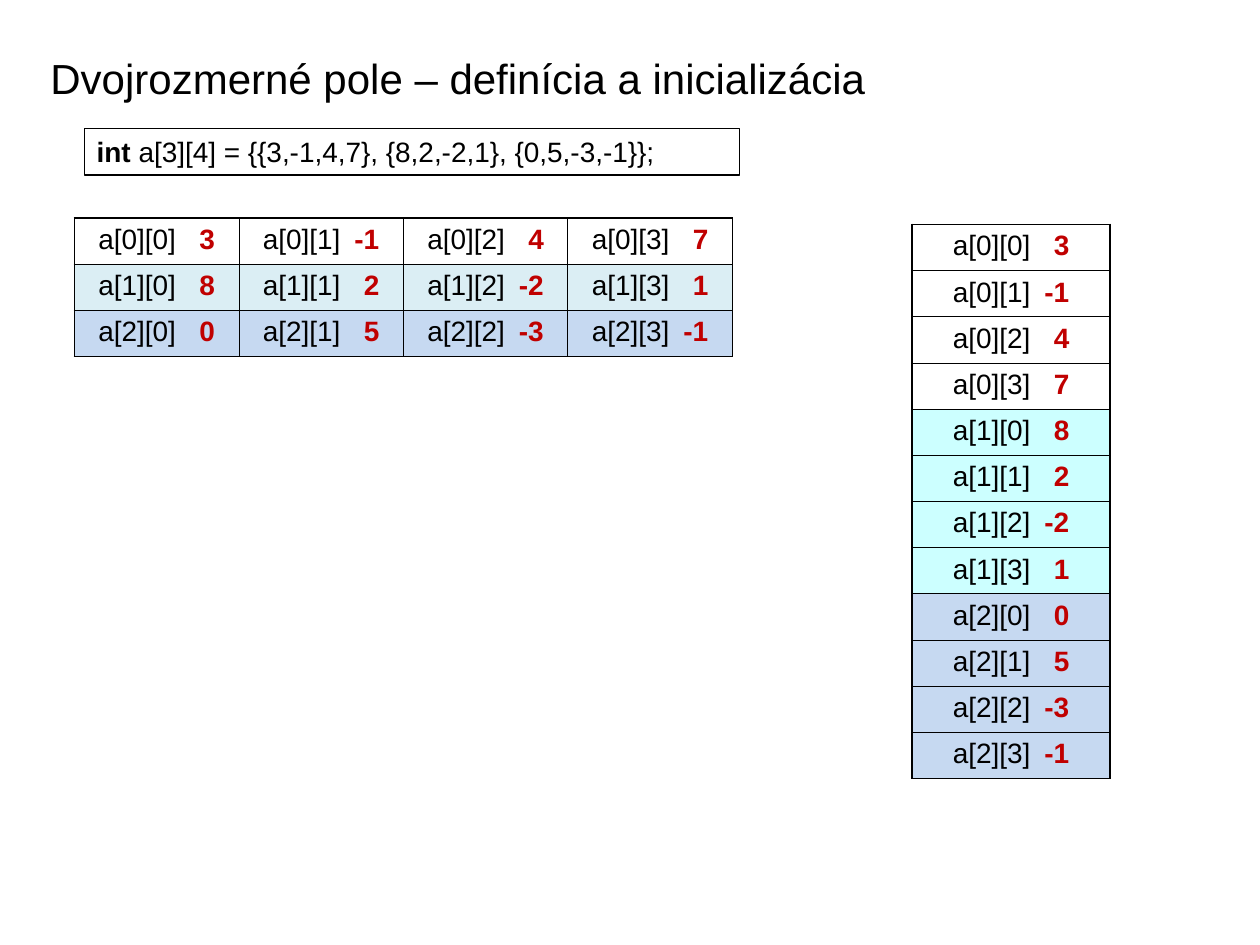
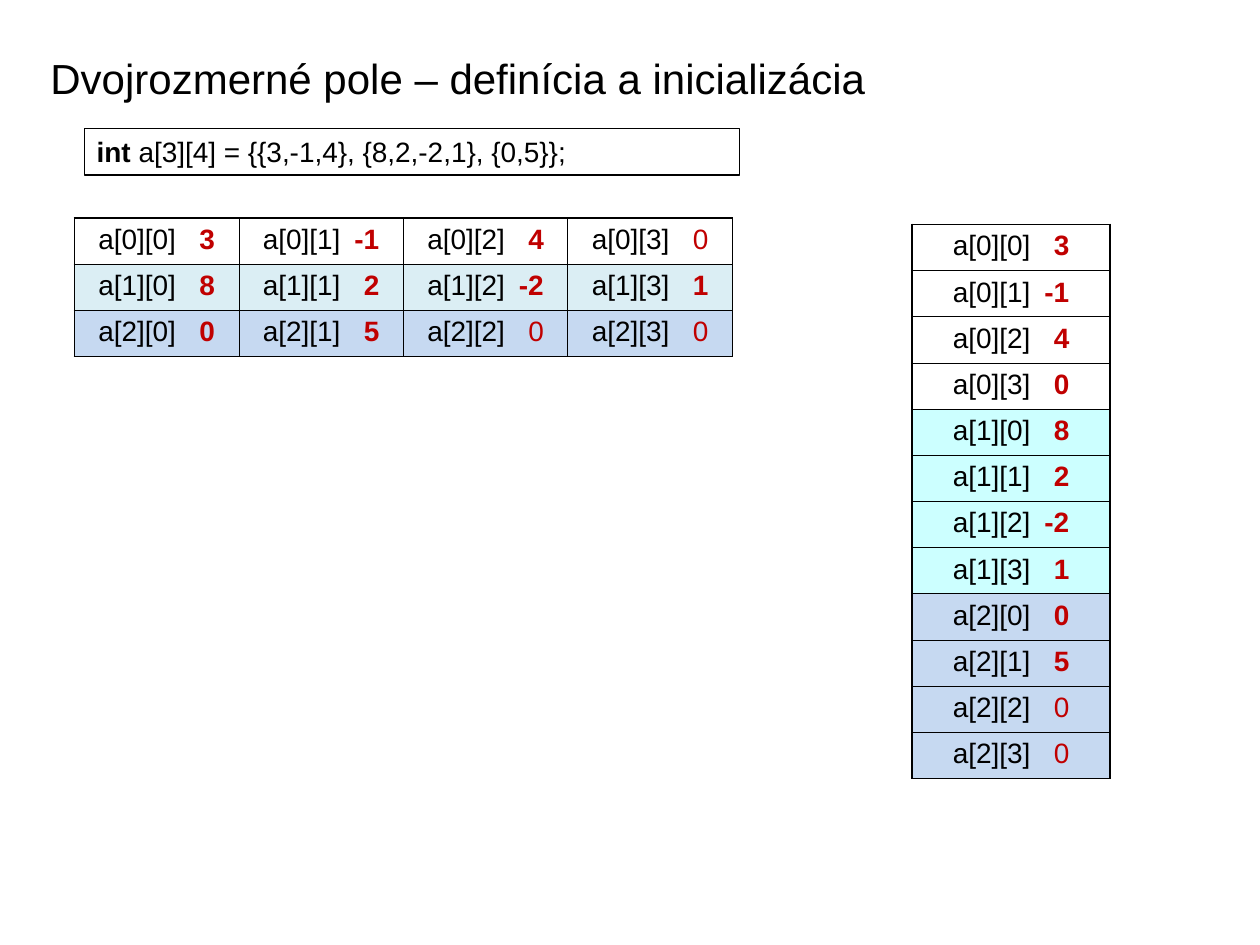
from lxml import etree
from pptx import Presentation
from pptx.dml.color import RGBColor
from pptx.enum.shapes import MSO_SHAPE
from pptx.enum.text import MSO_ANCHOR, MSO_AUTO_SIZE, PP_ALIGN
from pptx.oxml.ns import qn
from pptx.util import Pt

RECT = MSO_SHAPE.RECTANGLE
MIDDLE, TOP = MSO_ANCHOR.MIDDLE, MSO_ANCHOR.TOP
LEFT = PP_ALIGN.LEFT
FIXED = MSO_AUTO_SIZE.NONE
TITLE_ONLY = 5
FONT = "Arial"
COLORS = {"ink": "000000", "paper": "FFFFFF", "value": "C00000",
          "pale": "DBEEF4", "cyan": "CCFFFF", "blue": "C6D9F1"}
TITLE = "Dvojrozmerné pole – definícia a inicializácia"
COLS = 4
ROW = 26.4
ITEM = 66.5
THIN, THICK = 0.45, 1.08
GRID_FILLS = ("paper", "pale", "blue")
LIST_FILLS = ("paper", "cyan", "blue")


def rgb(name):
    """Return a named colour."""
    return RGBColor.from_string(COLORS[name])


def write(para, size, *parts):
    """Fill a paragraph with (text, colour, bold) runs."""
    para.alignment = LEFT
    para.font.name, para.font.size = FONT, Pt(size)
    for text, color, bold in parts:
        run = para.add_run()
        run.text = text
        run.font.bold = bold
        run.font.color.rgb = rgb(color)


def frame(shape, box, line, pad=3.6):
    """Place a white box with a thin outline and centre its text vertically."""
    shape.left, shape.top, shape.width, shape.height = map(Pt, box)
    shape.fill.solid()
    shape.fill.fore_color.rgb = rgb("paper")
    shape.line.color.rgb = rgb(line)
    shape.line.width = Pt(0.75)
    text = shape.text_frame
    text.word_wrap, text.auto_size = True, FIXED
    text.vertical_anchor = MIDDLE
    text.margin_left = text.margin_right = Pt(7.2)
    text.margin_top, text.margin_bottom = Pt(pad), Pt(3.6)
    return text.paragraphs[0]


def add_title(slide, box):
    """Format the title placeholder."""
    para = frame(slide.shapes.title, box, "paper", 6)
    write(para, 24, (TITLE, "ink", False))


def add_code(slide, box, rows):
    """Show the definition that initialises the array."""
    shape = slide.shapes.add_shape(RECT, *map(Pt, box))
    shape.shadow.inherit = False
    init = ", ".join("{" + ",".join(map(str, row)) + "}" for row in rows)
    write(frame(shape, box, "ink"), 16, ("int", "ink", True),
          (f" a[{len(rows)}][{COLS}] = {{{init}}};", "ink", False))


def border(cell, widths):
    """Draw the left, right, top and bottom borders of a cell."""
    props = cell._tc.get_or_add_tcPr()
    for side, width in zip("LRTB", widths):
        line = etree.SubElement(props, qn(f"a:ln{side}"), w=str(Pt(width)))
        fill = etree.SubElement(line, qn("a:solidFill"))
        etree.SubElement(fill, qn("a:srgbClr"), val=COLORS["ink"])


def set_tab(para, pos):
    """Give a paragraph one right-aligned tab stop."""
    tabs = etree.SubElement(para._p.get_or_add_pPr(), qn("a:tabLst"))
    etree.SubElement(tabs, qn("a:tab"), pos=str(Pt(pos)), algn="r")


def add_table(slide, box, items, cols, fills, base):
    """Lay out (row, column, value, bold) items in a bordered table."""
    count = len(items) // cols
    left, top, width = box
    table = slide.shapes.add_table(
        count, cols, *map(Pt, (left, top, width, count * ROW))).table
    table.first_row = table.horz_banding = False
    step = width / cols
    for col in table.columns:
        col.width = Pt(step)
    for row in table.rows:
        row.height = Pt(ROW)
    for num, (i, j, value, bold) in enumerate(items):
        y, x = divmod(num, cols)
        cell = table.cell(y, x)
        border(cell, (THIN if x else THICK,
                      THICK if x == cols - 1 else THIN,
                      THIN if y else THICK,
                      base if y == count - 1 else THIN))
        cell.fill.solid()
        cell.fill.fore_color.rgb = rgb(fills[i])
        cell.vertical_anchor = TOP
        cell.margin_left, cell.margin_right = Pt((step - ITEM) / 2), Pt(7.2)
        cell.margin_top = cell.margin_bottom = Pt(3.6)
        para = cell.text_frame.paragraphs[0]
        set_tab(para, ITEM)
        write(para, 16, (f"a[{i}][{j}]\t", "ink", False),
              (str(value), "value", bold))


def expand(rows, strong=()):
    """List all items, with unset ones zero and light unless strong."""
    return [(i, j, row[j] if j < len(row) else 0,
             j < len(row) or (i, j) in strong)
            for i, row in enumerate(rows) for j in range(COLS)]


def add_slide(deck, rows, width, strong=()):
    """Build a slide with the code, the grid and the memory order."""
    slide = deck.slides.add_slide(deck.slide_layouts[TITLE_ONLY])
    add_table(slide, (521.3, 128.2, 113), expand(rows, strong), 1,
              LIST_FILLS, THIN)
    add_title(slide, (21.6, 25.2, width, 36))
    add_code(slide, (48.2, 73.4, 374.4, 26.6), rows)
    add_table(slide, (42.5, 124.6, 376), expand(rows), COLS,
              GRID_FILLS, THICK)


def main():
    """Build and save both slides."""
    deck = Presentation()
    deck.slide_width, deck.slide_height = Pt(720), Pt(540)
    add_slide(deck, [[3, -1, 4, 7], [8, 2, -2, 1], [0, 5, -3, -1]], 616.3)
    add_slide(deck, [[3, -1, 4], [8, 2, -2, 1], [0, 5]], 627.8, {(0, 3)})
    deck.save("out.pptx")


if __name__ == "__main__":
    main()
